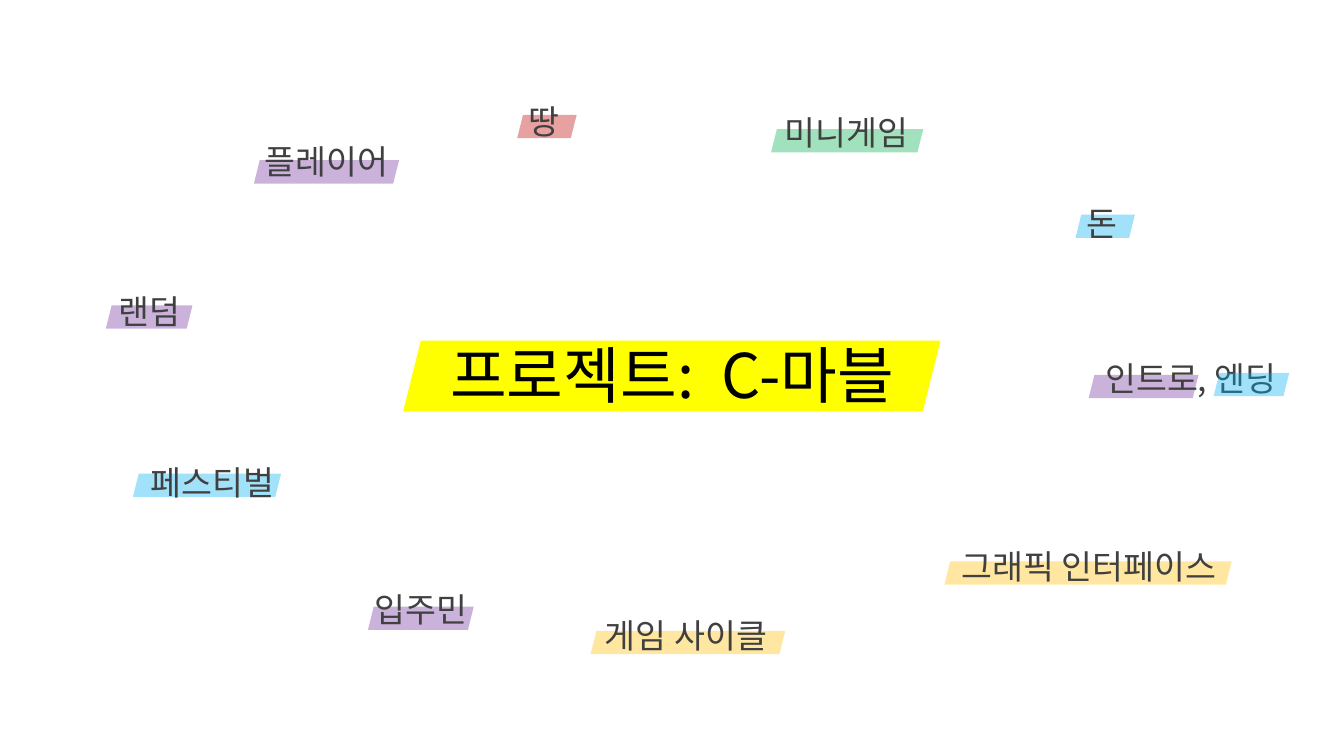
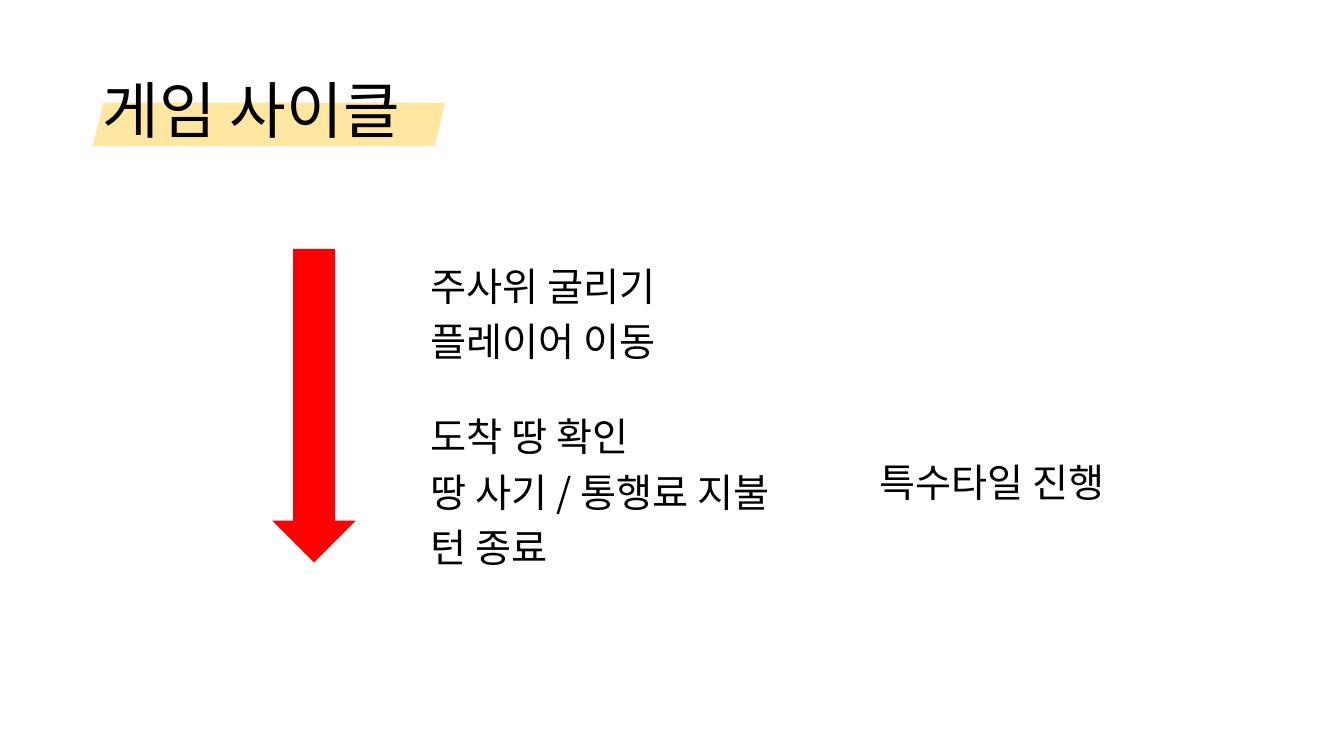
from lxml import etree
from pptx import Presentation
from pptx.dml.color import RGBColor
from pptx.enum.shapes import MSO_SHAPE
from pptx.enum.text import MSO_ANCHOR, MSO_AUTO_SIZE, PP_ALIGN
from pptx.oxml.ns import qn
from pptx.util import Pt

BAND = MSO_SHAPE.PARALLELOGRAM
ARROW = MSO_SHAPE.DOWN_ARROW
LEFT, CENTER = PP_ALIGN.LEFT, PP_ALIGN.CENTER
TOP, MIDDLE = MSO_ANCHOR.TOP, MSO_ANCHOR.MIDDLE
FIXED, GROW = MSO_AUTO_SIZE.NONE, MSO_AUTO_SIZE.SHAPE_TO_FIT_TEXT

FONT = "Noto Sans CJK KR"
COLORS = {
    "text": "000000", "label": "404040", "title": "FFFF00", "arrow": "FF0000",
    "amber": "FFC000", "red": "C00000", "purple": "7030A0",
    "green": "00B050", "blue": "00B0F0",
}
BAND_ALPHA = 37
BAND_H = 16.6
LABEL_H = 36
TITLE_X, TITLE_W, TITLE_H = 66.2, 828, 104.4

TOPICS = [
    ("그래픽 인터페이스", (672, 386.6, 211.7), (2.6, 14.4, 205.2), "amber"),
    ("게임 사이클", (419.8, 435.6, 140.4), (2.1, 15.1, 139), "amber"),
    ("땅", (369.4, 68.4, 38.2), (0, 13.7, 42.5), "red"),
    ("인트로, 엔딩", (777.6, 252, 146.2), (0, 15.8, 78.5), "purple"),
    ("플레이어", (178.6, 97.2, 109.4), (2.8, 17.3, 103.7), "purple"),
    ("랜덤", (75.6, 204.5, 61.9), (0, 13.7, 61.9), "purple"),
    ("입주민", (257.8, 416.9, 85.7), (5, 16.5, 75.6), "purple"),
    ("미니게임", (550.1, 76.3, 109.4), (0.7, 15.9, 108.7), "green"),
    ("돈", (768.2, 141.1, 38.2), (0, 12.3, 42.5), "blue"),
    ("페스티벌", (89.3, 326.2, 124.6), (5.7, 12.2, 105.8), "blue"),
]
STEPS = ["주사위 굴리기", "플레이어 이동", "도착 땅 확인", "땅 사기 / 통행료 지불", "턴 종료"]
STEP_PITCH = 39.5
ARRIVAL_STEP, ARRIVAL_GAP = 2, 28.5


def set_attrs(obj, values):
    for name, value in values.items():
        setattr(obj, name, value)


def place(sp, x, y, w, h):
    set_attrs(sp, {"left": Pt(x), "top": Pt(y), "width": Pt(w), "height": Pt(h)})


def add_block(s, preset, box, color, alpha=None):
    sp = s.shapes.add_shape(preset, *map(Pt, box))
    sp.shadow.inherit = False
    sp.fill.solid()
    sp.fill.fore_color.rgb = RGBColor.from_string(COLORS[color])
    sp.line.fill.background()
    if alpha:
        rgb = sp.fill._xPr.find(".//" + qn("a:srgbClr"))
        etree.SubElement(rgb, qn("a:alpha"), val=str(alpha * 1000))


def write_lines(sp, lines, size, color="text", align=LEFT, anchor=TOP, fit=GROW, spacing=1.0):
    tf = sp.text_frame
    set_attrs(tf, {"word_wrap": True, "auto_size": fit, "vertical_anchor": anchor})
    for i, line in enumerate(lines):
        p = tf.add_paragraph() if i else tf.paragraphs[0]
        set_attrs(p, {"alignment": align, "line_spacing": spacing,
                      "space_before": Pt(0), "space_after": Pt(0)})
        r = p.add_run()
        r.text = line
        set_attrs(r.font, {"size": Pt(size), "name": FONT})
        r.font.color.rgb = RGBColor.from_string(COLORS[color])
        etree.SubElement(r.font._element, qn("a:ea"), typeface=FONT)


def add_text(s, text, box, size, **style):
    write_lines(s.shapes.add_textbox(*map(Pt, box)), [text], size, **style)


def add_title(s, text, y, align=LEFT):
    sp = s.shapes.title
    s.shapes._spTree.append(sp._element)
    place(sp, TITLE_X, y, TITLE_W, TITLE_H)
    write_lines(sp, [text], 44, align=align, anchor=MIDDLE, fit=FIXED, spacing=0.9)


def add_topic(s, text, box, band, color):
    x, y, w = box
    dx, dy, band_w = band
    add_block(s, BAND, (x + dx, y + dy, band_w, BAND_H), color, BAND_ALPHA)
    add_text(s, text, (x, y, w, LABEL_H), 24, color="label", align=CENTER)


def add_steps(s, x, y, w, h):
    add_block(s, ARROW, (x, y, 59.8, h), "arrow")
    body = s.placeholders[1]
    place(body, x + 106, y, w - 106, h)
    write_lines(body, STEPS, 28, fit=FIXED, spacing=Pt(STEP_PITCH))
    for p in body.text_frame.paragraphs:
        pPr = p._p.get_or_add_pPr()
        pPr.set("marL", "0")
        pPr.set("indent", "0")
        etree.SubElement(pPr, qn("a:buNone"))
    body.text_frame.paragraphs[ARRIVAL_STEP].space_before = Pt(ARRIVAL_GAP)
    add_text(s, "특수타일 진행", (x + 427, y + 146.2, 236, 40), 28)


def build_overview(prs):
    s = prs.slides.add_slide(prs.slide_layouts[5])
    add_block(s, BAND, (288, 243.4, 383.8, 50.4), "title")
    add_title(s, "프로젝트:  C-마블", 218.2, CENTER)
    for topic in TOPICS:
        add_topic(s, *topic)
    add_block(s, BAND, (866.9, 266.4, 54, BAND_H), "blue", BAND_ALPHA)


def build_cycle(prs):
    s = prs.slides.add_slide(prs.slide_layouts[1])
    add_block(s, BAND, (TITLE_X, 73.4, 252, 31), "amber", BAND_ALPHA)
    add_title(s, "게임 사이클", 28.8)
    add_steps(s, 194.4, 177.8, 506, 224)


def main():
    prs = Presentation()
    set_attrs(prs, {"slide_width": Pt(960), "slide_height": Pt(540)})
    build_overview(prs)
    build_cycle(prs)
    prs.save("out.pptx")


if __name__ == "__main__":
    main()
